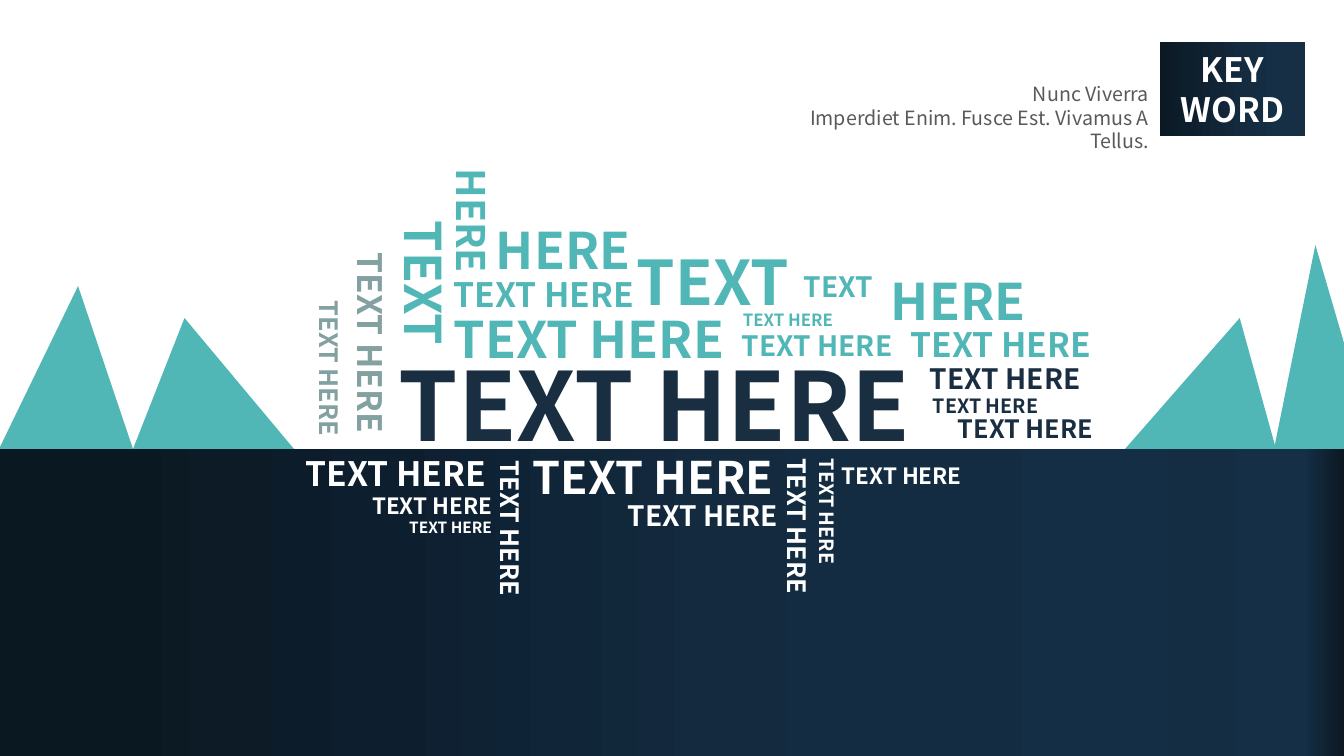
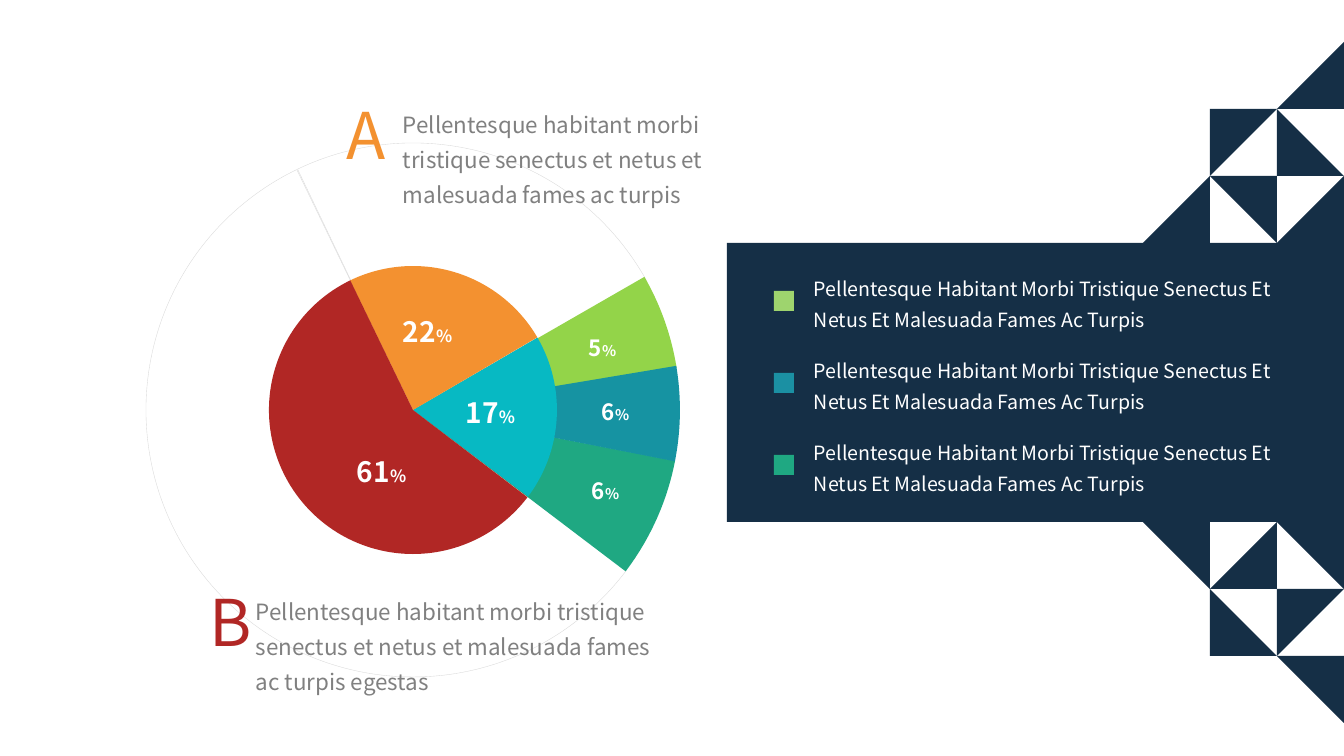
from lxml import etree
from pptx import Presentation
from pptx.dml.color import RGBColor
from pptx.enum.shapes import MSO_SHAPE
from pptx.enum.text import MSO_ANCHOR, MSO_AUTO_SIZE, PP_ALIGN
from pptx.oxml.ns import qn
from pptx.util import Emu, Pt

WIDE, HIGH = 1344, 756
SCALE = 12192000 / WIDE
FONT = "Noto Sans CJK SC"

RECT = MSO_SHAPE.RECTANGLE
PEAK = MSO_SHAPE.ISOSCELES_TRIANGLE
PIE = MSO_SHAPE.PIE
LEFT, MID, RIGHT = PP_ALIGN.LEFT, PP_ALIGN.CENTER, PP_ALIGN.RIGHT
MIDDLE = MSO_ANCHOR.MIDDLE
FIXED = MSO_AUTO_SIZE.NONE

WHITE = RGBColor(0xFF, 0xFF, 0xFF)
NAVY = RGBColor(0x15, 0x2F, 0x46)
INK = RGBColor(0x1A, 0x2E, 0x41)
AQUA = RGBColor(0x51, 0xB7, 0xB6)
SAGE = RGBColor(0x84, 0xA1, 0xA2)
DARK = RGBColor(0x59, 0x59, 0x59)
GRAY = RGBColor(0x80, 0x80, 0x80)
PALE = RGBColor(0xD9, 0xD9, 0xD9)
RED = RGBColor(0xB1, 0x27, 0x25)
AMBER = RGBColor(0xF3, 0x91, 0x30)
CYAN = RGBColor(0x07, 0xB9, 0xC3)
LIME = RGBColor(0x93, 0xD4, 0x49)
TEAL = RGBColor(0x16, 0x93, 0xA2)
JADE = RGBColor(0x1F, 0xA8, 0x82)
MOSS = RGBColor(0x9E, 0xD4, 0x6E)
SEA = RGBColor(0x1B, 0x90, 0xA3)

DEEP = [(10, "0A1821"), (16, "0D1B27"), (29, "0D1E2E"), (42, "102538"),
        (53, "142A3F"), (64, "132C42"), (76, "142E45"), (87, "142D43"),
        (97, "152F46"), (100, "0B1821")]
BADGE = [(0, "162F45"), (20, "152F46"), (40, "152B40"), (60, "122536"),
         (80, "0D1F2D"), (100, "0B1924")]

PAIR = "TEXT HERE"
FLAT = [
    (PAIR, 189, 191, 586, 68, INK), (PAIR, 244, 153, 324, 36, AQUA),
    (PAIR, 244, 119, 214, 24, AQUA), ("TEXT", 427, 89, 184, 44, AQUA),
    ("TEXT", 594, 115, 92, 20, AQUA), (PAIR, 532, 174, 184, 20, AQUA),
    (PAIR, 533, 155, 184, 12, AQUA), ("HERE", 286, 64, 156, 36, AQUA),
    (PAIR, 701, 169, 240, 24, AQUA), ("HERE", 681, 115, 156, 36, AQUA),
    (PAIR, 720, 207, 184, 20, INK), (PAIR, 723, 239, 184, 14, INK),
    (PAIR, 748, 258, 184, 18, INK), (PAIR, 96, 298, 222, 24, WHITE),
    (PAIR, 323, 295, 275, 32, WHITE), (PAIR, 632, 307, 157, 16, WHITE),
]
FLUSH = [
    (PAIR, 313, 344, 275, 20, WHITE), (PAIR, 153, 337, 149, 16, WHITE),
    (PAIR, 153, 363, 149, 11, WHITE),
]
TURNED = [
    ("TEXT", 133, 118, 184, 36, AQUA), ("HERE", 209, 43, 126, 28, AQUA),
    (PAIR, 59, 180, 224, 24, SAGE), (PAIR, 200, 392, 222, 18, WHITE),
    (PAIR, 487, 390, 222, 18, WHITE), (PAIR, 516, 393, 222, 14, WHITE),
]
TURNED_FLUSH = [(PAIR, 49, 195, 162, 18, SAGE)]

HILLS = [(-1, 134, 163, 0.59), (133, 161, 131, 0.32),
         (1274, 101, 204, 0.41), (1125, 151, 131, 0.76)]

TILES = [
    [(1, 1), (1, 0), (0, 0)], [(3, 1), (3, 0), (2, 0)],
    [(1, 1), (2, 1), (2, 0)], [(3, 1), (2, 1), (2, 2)],
    [(1, 1), (1, 2), (2, 2)], [(3, 3), (3, 2), (2, 2)],
]

CLAIM = "Pellentesque habitant morbi tristique senectus et netus et malesuada fames ac turpis"
ENTRY = "Pellentesque Habitant Morbi Tristique Senectus Et Netus Et Malesuada Fames Ac Turpis"


def px(num):
    return Emu(round(num * SCALE))


def frame(box):
    return [px(num) for num in box]


def write(body, lines, size=14, color=WHITE, bold=False, align=LEFT,
          space=None, tail=None):
    body.word_wrap = True
    body.auto_size = FIXED
    for row, line in enumerate(lines):
        para = body.paragraphs[0] if row == 0 else body.add_paragraph()
        para.alignment = align
        if space:
            para.line_spacing = space
        for part, pts in [(line, size)] + ([tail] if tail else []):
            run = para.add_run()
            run.text = part
            run.font.name = FONT
            run.font.size = Pt(pts)
            run.font.bold = bold
            run.font.color.rgb = color


def label(slide, box, lines, turn=0, **style):
    item = slide.shapes.add_textbox(*frame(box))
    item.rotation = turn
    write(item.text_frame, lines, **style)


def paint(item, color):
    item.shadow.inherit = False
    item.line.fill.background()
    if color is None:
        item.fill.background()
    else:
        item.fill.solid()
        item.fill.fore_color.rgb = color
    return item


def shape(slide, kind, box, color=None, adjust=()):
    item = paint(slide.shapes.add_shape(kind, *frame(box)), color)
    for spot, value in enumerate(adjust):
        item.adjustments[spot] = value
    return item


def blend(item, stops, angle):
    item.fill.gradient()
    item.fill.gradient_angle = angle
    group = item._element.spPr.find(qn("a:gradFill")).find(qn("a:gsLst"))
    for old in list(group):
        group.remove(old)
    for place, code in stops:
        stop = etree.SubElement(group, qn("a:gs"), pos=str(place * 1000))
        etree.SubElement(stop, qn("a:srgbClr"), val=code)


def cloud(slide, left, top):
    groups = [(FLAT, 0, LEFT), (FLUSH, 0, RIGHT),
              (TURNED, 90, LEFT), (TURNED_FLUSH, 90, RIGHT)]
    for words, turn, align in groups:
        for word, x, y, width, size, color in words:
            box = (left + x, top + y, width, round(size * 1.68 + 10))
            label(slide, box, [word], turn=turn, size=size, color=color,
                  bold=True, align=align)


def header(slide, left, top, width, height):
    title = slide.shapes.title
    title.left, title.top, title.width, title.height = frame(
        (left, top, width, height))
    blend(title, BADGE, 180)
    title.text_frame.vertical_anchor = MIDDLE
    write(title.text_frame, ["KEY", "WORD"], size=24, bold=True, align=MID)
    label(slide, (left - 394, top + 35, 393, 57),
          ["Nunc Viverra", "Imperdiet Enim. Fusce Est. Vivamus A Tellus."],
          color=DARK, align=RIGHT)


def ground(slide, top):
    band = shape(slide, RECT, (0, top, WIDE, HIGH - top))
    blend(band, DEEP, 0)
    for left, width, height, apex in HILLS:
        shape(slide, PEAK, (left, top - height, width, height), AQUA, [apex])


def tiles(slide, left, edge, step, way):
    for points in TILES:
        spots = [(left + u * step, edge + way * v * step) for u, v in points]
        pen = slide.shapes.build_freeform(*spots[0], scale=SCALE)
        pen.add_line_segments(spots[1:], close=True)
        paint(pen.convert_to_shape(), NAVY)


def panel(slide, left, top, width, height):
    shape(slide, RECT, (left, top, width, height), NAVY)
    step = 67
    side = left + width - 3 * step
    tiles(slide, side, top, step, -1)
    tiles(slide, side, top + height, step, 1)
    for row, color in enumerate([MOSS, SEA, JADE]):
        y = top + 22 + 82 * row
        shape(slide, RECT, (left + 47, y + 26, 20, 20), color)
        label(slide, (left + 77, y, 512, 72), [ENTRY], space=1.3)


def wheel(slide, x, y, outer, inner):
    slices = [
        (outer, 37, 244.2, None), (outer, 244.4, 331, None),
        (outer, 330.1, 350.9, LIME), (outer, 11, 37.2, JADE),
        (outer, 350.5, 11.1, TEAL), (inner, 329.8, 36.9, CYAN),
        (inner, 244.1, 329.7, AMBER), (inner, 37.3, 244.2, RED),
    ]
    for radius, start, end, color in slices:
        box = (x - radius, y - radius, 2 * radius, 2 * radius)
        item = shape(slide, PIE, box, color, [start * 0.6, end * 0.6])
        if color is None:
            item.line.color.rgb = PALE
            item.line.width = Pt(0.25)
    shares = [
        ("61", -66, 40, 20, 12), ("22", -20, -100, 20, 12),
        ("17", 43, -19, 20, 12), ("5", 166, -81, 16, 10.5),
        ("6", 179, -17, 16, 10.5), ("6", 169, 62, 16, 10.5),
    ]
    for share, dx, dy, size, small in shares:
        label(slide, (x + dx, y + dy, 84, 44), [share], size=size,
              bold=True, tail=("%", small))


def note(slide, left, top, width, mark, color, shift, text):
    label(slide, (left - shift, top - 8, 70, 88), [mark], size=46, color=color)
    label(slide, (left, top, width, 116), [text], size=16, color=GRAY,
          space=1.3)


def main():
    deck = Presentation()
    deck.slide_width, deck.slide_height = px(WIDE), px(HIGH)
    titled, blank = deck.slide_layouts[5], deck.slide_layouts[6]

    words = deck.slides.add_slide(titled)
    ground(words, 449)
    header(words, 1160, 42, 145, 94)
    cloud(words, 200, 150)

    chart = deck.slides.add_slide(blank)
    panel(chart, 727, 243, 617, 279)
    wheel(chart, 413, 410, 267, 144)
    note(chart, 393, 98, 375, "A", AMBER, 56, CLAIM)
    note(chart, 246, 585, 433, "B", RED, 46, CLAIM + " egestas")

    deck.save("out.pptx")


if __name__ == "__main__":
    main()
